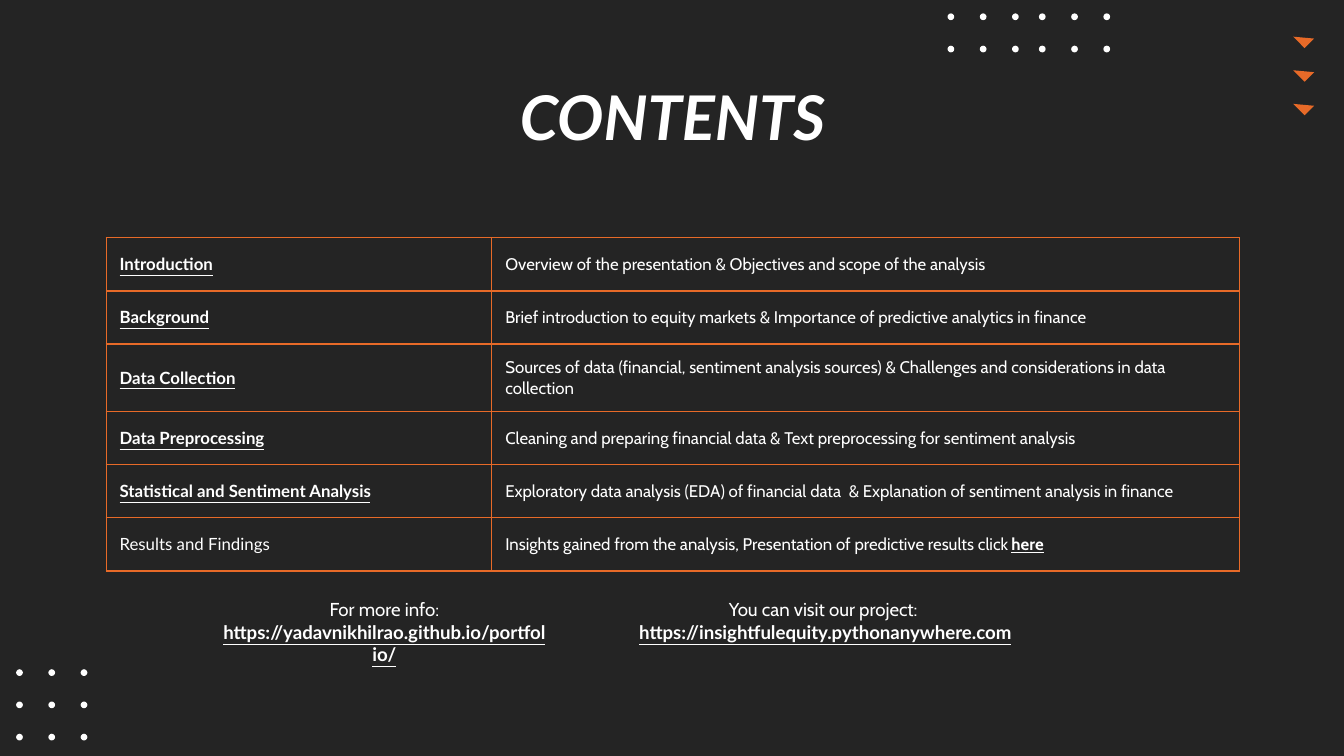
"""Build the contents slide of an equity analysis presentation."""
import pptx
import pptx.dml.color
import pptx.enum.shapes
import pptx.enum.text
import pptx.oxml
import pptx.oxml.ns
import pptx.util

Inches = pptx.util.Inches
Pt = pptx.util.Pt
RGBColor = pptx.dml.color.RGBColor
MSO_SHAPE = pptx.enum.shapes.MSO_SHAPE
MSO_ANCHOR = pptx.enum.text.MSO_ANCHOR
PP_ALIGN = pptx.enum.text.PP_ALIGN

DARK = RGBColor(0x24, 0x24, 0x24)
ORANGE = RGBColor(0xE7, 0x6A, 0x28)
WHITE = RGBColor(0xFF, 0xFF, 0xFF)

TOPICS = [
    ("Introduction", "Overview of the presentation & Objectives and scope of the analysis"),
    ("Background", "Brief introduction to equity markets & Importance of predictive analytics in finance"),
    ("Data Collection", "Sources of data (financial, sentiment analysis sources) & "
     "Challenges and considerations in data collection"),
    ("Data Preprocessing", "Cleaning and preparing financial data & Text preprocessing for sentiment analysis"),
    ("Statistical and Sentiment Analysis", "Exploratory data analysis (EDA) of financial data  & "
     "Explanation of sentiment analysis in finance"),
    ("Results and Findings", "Insights gained from the analysis, Presentation of predictive results click "),
]


class ContentsSlide:
    heading_font = "Lato"
    body_font = "Cabin"
    inset = Inches(0.1)
    dot_size = 0.05
    dot_pitch = 0.24

    def __init__(self, prs):
        self.s = prs.slides.add_slide(prs.slide_layouts[5])
        fill = self.s.background.fill
        fill.solid()
        fill.fore_color.rgb = DARK

    def style(self, font, name, size, strong=False, underline=False):
        font.name = name
        font.size = Pt(size)
        font.color.rgb = WHITE
        font.bold = strong
        font.underline = underline

    def pad(self, box):
        box.margin_left = box.margin_right = self.inset
        box.margin_top = box.margin_bottom = self.inset

    def shape(self, kind, left, top, width, height, color):
        sp = self.s.shapes.add_shape(kind, Inches(left), Inches(top), Inches(width), Inches(height))
        sp.shadow.inherit = False
        sp.fill.solid()
        sp.fill.fore_color.rgb = color
        sp.line.fill.background()
        return sp

    def dots(self, left, top, cols, rows):
        for row in range(rows):
            for col in range(cols):
                self.shape(MSO_SHAPE.OVAL, left + col * self.dot_pitch, top + row * self.dot_pitch,
                           self.dot_size, self.dot_size, WHITE)

    def triangles(self, left, top, count):
        for i in range(count):
            sp = self.shape(MSO_SHAPE.RIGHT_TRIANGLE, left, top + i * 0.25, 0.1, 0.12, ORANGE)
            sp.rotation = 315

    def title(self, text, left, top, width, height):
        sp = self.s.shapes.title
        sp.left, sp.top, sp.width, sp.height = map(Inches, (left, top, width, height))
        tf = sp.text_frame
        tf.text = text
        tf.auto_size = pptx.enum.text.MSO_AUTO_SIZE.NONE
        tf.vertical_anchor = MSO_ANCHOR.TOP
        self.pad(tf)
        p = tf.paragraphs[0]
        p.alignment = PP_ALIGN.CENTER
        self.style(p.font, self.heading_font, 33, strong=True)
        p.font.italic = True

    def borders(self, cell):
        tc_pr = cell._tc.get_or_add_tcPr()
        ns = pptx.oxml.ns.nsdecls("a")
        for side in "LRTB":
            tc_pr.append(pptx.oxml.parse_xml(
                f'<a:ln{side} {ns} w="{Pt(0.75)}"><a:solidFill>'
                f'<a:srgbClr val="{ORANGE}"/></a:solidFill></a:ln{side}>'))

    def cell(self, cell, text, name, link=False):
        self.borders(cell)
        cell.fill.background()
        cell.vertical_anchor = MSO_ANCHOR.MIDDLE
        self.pad(cell)
        cell.text = text
        p = cell.text_frame.paragraphs[0]
        self.style(p.font, name, 9, strong=link, underline=link)
        return p

    def table(self, topics, left, top, widths, height):
        frame = self.s.shapes.add_table(len(topics), len(widths), Inches(left), Inches(top),
                                        Inches(sum(widths)), Inches(height))
        table = frame.table
        table.first_row = table.horz_banding = False
        for column, width in zip(table.columns, widths):
            column.width = Inches(width)
        for i, (topic, detail) in enumerate(topics):
            last = i == len(topics) - 1
            self.cell(table.cell(i, 0), topic, self.heading_font, link=not last)
            p = self.cell(table.cell(i, 1), detail, self.body_font)
        r = p.add_run()
        r.text = "here"
        self.style(r.font, self.body_font, 9, strong=True, underline=True)

    def link_box(self, label, lead, url, left, top, width, height):
        tb = self.s.shapes.add_textbox(Inches(left), Inches(top), Inches(width), Inches(height))
        tf = tb.text_frame
        tf.word_wrap = True
        self.pad(tf)
        p = tf.paragraphs[0]
        p.alignment = PP_ALIGN.CENTER
        r = p.add_run()
        r.text = label
        self.style(r.font, self.body_font, 10)
        p.add_line_break()
        if lead:
            r = p.add_run()
            r.text = lead
            self.style(r.font, self.body_font, 10)
        r = p.add_run()
        r.text = url
        self.style(r.font, self.heading_font, 10, strong=True, underline=True)


def main():
    prs = pptx.Presentation()
    prs.slide_width = Inches(10)
    prs.slide_height = prs.slide_width * 9 // 16
    slide = ContentsSlide(prs)
    slide.triangles(9.65, 0.22, 3)
    slide.dots(0.12, 4.98, 3, 3)
    for left in (7.05, 7.73):
        slide.dots(left, 0.1, 3, 2)
    slide.title("CONTENTS", 0.79, 0.49, 8.43, 0.63)
    slide.table(TOPICS, 0.79, 1.77, (2.87, 5.56), 2.37)
    slide.link_box("For more info:", "", "https://yadavnikhilrao.github.io/portfolio/", 1.56, 4.35, 2.6, 0.5)
    slide.link_box("You can visit our project:", " ", "https://insightfulequity.pythonanywhere.com",
                   4.16, 4.35, 3.93, 0.5)
    prs.save("out.pptx")


if __name__ == "__main__":
    main()
